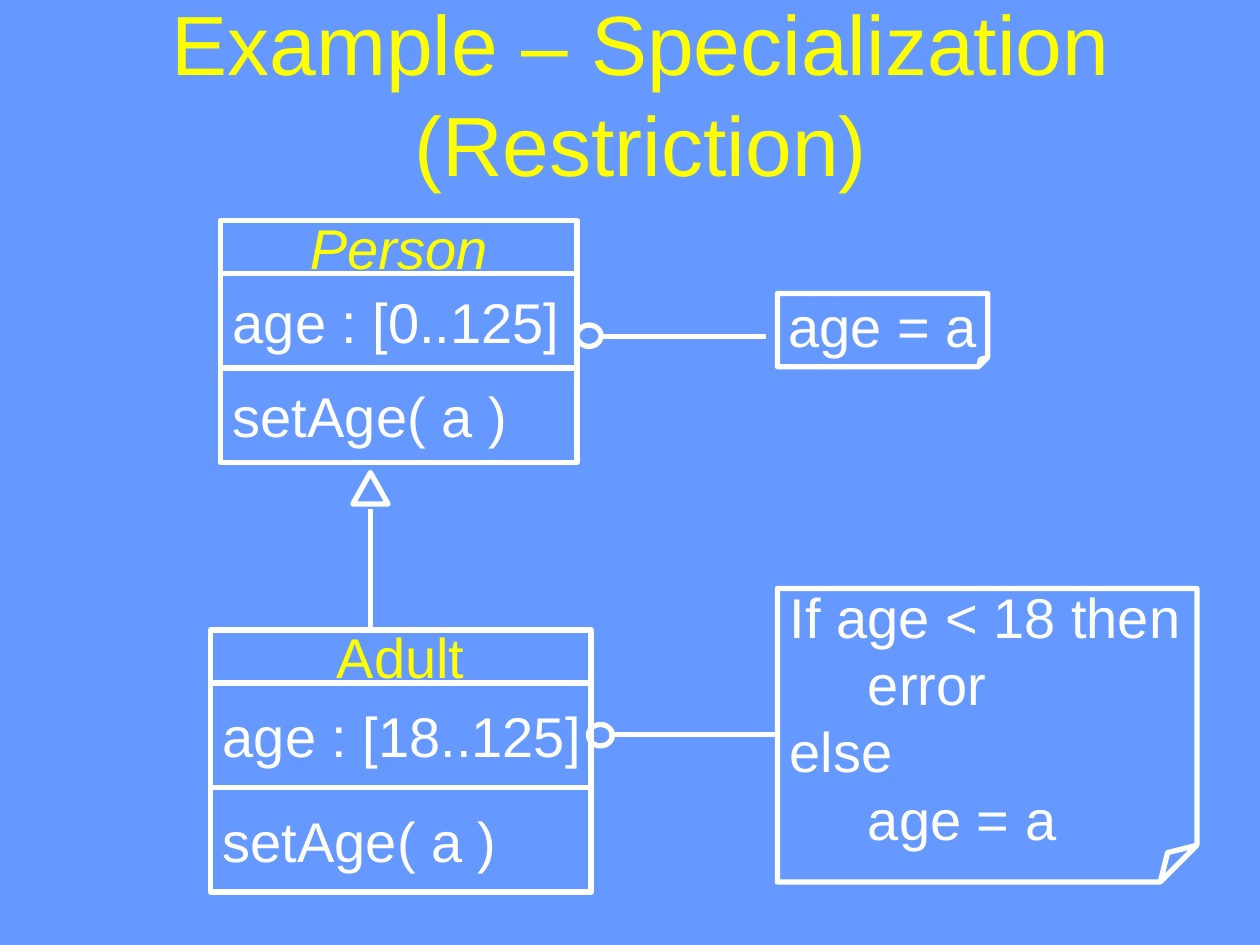
"""Build the UML slide on specialization by restriction."""
from lxml.etree import SubElement
from pptx import Presentation
from pptx.dml.color import RGBColor
from pptx.enum.shapes import MSO_CONNECTOR, MSO_SHAPE as Shape
from pptx.enum.text import MSO_ANCHOR, MSO_AUTO_SIZE, PP_ALIGN as Align
from pptx.oxml.ns import qn
from pptx.util import Inches, Pt

COLORS = {"background": "6699FF", "heading": "FFFF00", "ink": "FFFFFF"}
FRAME = {
    "auto_size": MSO_AUTO_SIZE.NONE,
    "vertical_anchor": MSO_ANCHOR.MIDDLE,
    "margin_left": Inches(0.1),
    "margin_right": Inches(0.1),
    "margin_top": Inches(0.05),
    "margin_bottom": Inches(0.05),
}


def write(shape, lines, size=32, color="ink", align=Align.LEFT, wrap=False, italic=None):
    frame = shape.text_frame
    for name, value in {**FRAME, "word_wrap": wrap}.items():
        setattr(frame, name, value)
    frame.text = "\n".join(line.lstrip("\t") for line in lines)
    for line, paragraph in zip(lines, frame.paragraphs):
        paragraph.alignment = align
        if line.startswith("\t"):
            paragraph._p.get_or_add_pPr().set("marL", str(Inches(0.62)))
        for name, value in {"name": "Arial", "size": Pt(size), "italic": italic}.items():
            setattr(paragraph.font, name, value)
        paragraph.font.color.rgb = RGBColor.from_string(COLORS[color])


def outline(kind, *box):
    shape = slide.shapes.add_shape(kind, *map(Inches, box))
    shape.shadow.inherit = False
    shape.fill.background()
    shape.line.color.rgb = RGBColor.from_string(COLORS["ink"])
    shape.line.width = Pt(3)
    return shape


presentation = Presentation()
presentation.slide_width, presentation.slide_height = Inches(10), Inches(7.5)
slide = presentation.slides.add_slide(presentation.slide_layouts[5])
slide.background.fill.solid()
slide.background.fill.fore_color.rgb = RGBColor.from_string(COLORS["background"])

title = slide.shapes.title
title.left, title.top, title.width, title.height = map(Inches, (0.5, 0.3, 9.17, 0.87))
write(title, ["Example – Specialization (Restriction)"], 48, "heading", Align.CENTER, True)

classes = [
    ("Person", True, "age : [0..125]", 1.75, 1.75, 2.83, 0.75),
    ("Adult", None, "age : [18..125]", 1.67, 5, 3.02, 0.83),
]
for name, italic, attribute, left, top, width, row_height in classes:
    header = outline(Shape.RECTANGLE, left, top, width, 0.42)
    write(header, [name], color="heading", align=Align.CENTER, italic=italic)
    for row, member in enumerate([attribute, "setAge( a )"]):
        row_top = top + 0.42 + row * row_height
        write(outline(Shape.RECTANGLE, left, row_top, width, row_height), [member])

notes = [
    (["age = a"], Align.CENTER, (6.17, 2.33, 1.67, 0.58)),
    (["If age < 18 then", "\terror", "else", "\tage = a"], Align.LEFT, (6.17, 4.67, 3.33, 2.33)),
]
for lines, align, box in notes:
    note = outline(Shape.FOLDED_CORNER, *box)
    adjustments = note._element.spPr.find(qn("a:prstGeom")).get_or_add_avLst()
    SubElement(adjustments, qn("a:gd"), name="adj", fmla="val 12500")
    write(note, lines, align=align)

outline(Shape.ISOSCELES_TRIANGLE, 2.8, 3.75, 0.28, 0.25)
for left, top in [(4.58, 2.58), (4.67, 5.75)]:
    outline(Shape.OVAL, left, top, 0.19, 0.17)

links = [(2.94, 5, 2.94, 4.04), (4.75, 2.67, 6.08, 2.67), (4.83, 5.83, 6.17, 5.83)]
for ends in links:
    link = slide.shapes.add_connector(MSO_CONNECTOR.STRAIGHT, *map(Inches, ends))
    link.line.color.rgb = RGBColor.from_string(COLORS["ink"])
    link.line.width = Pt(3)
    SubElement(link._element.spPr, qn("a:effectLst"))

presentation.save("out.pptx")
